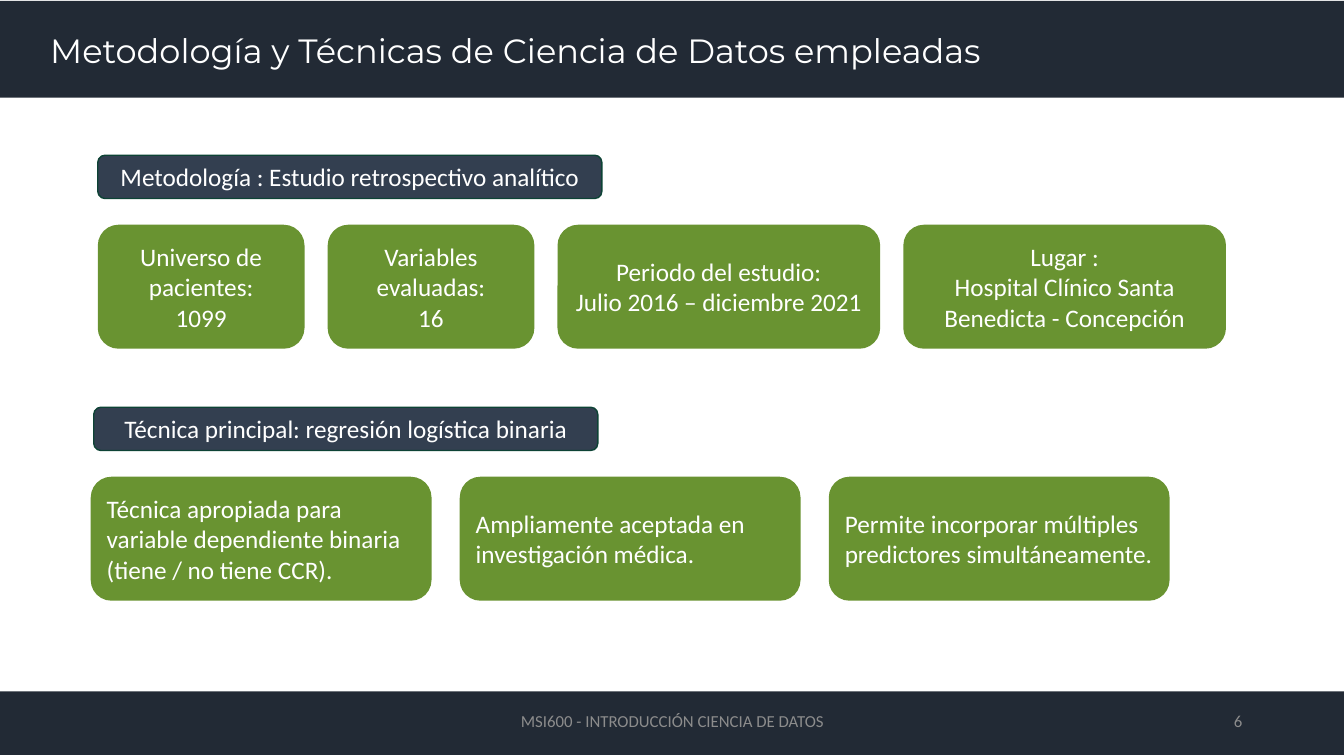
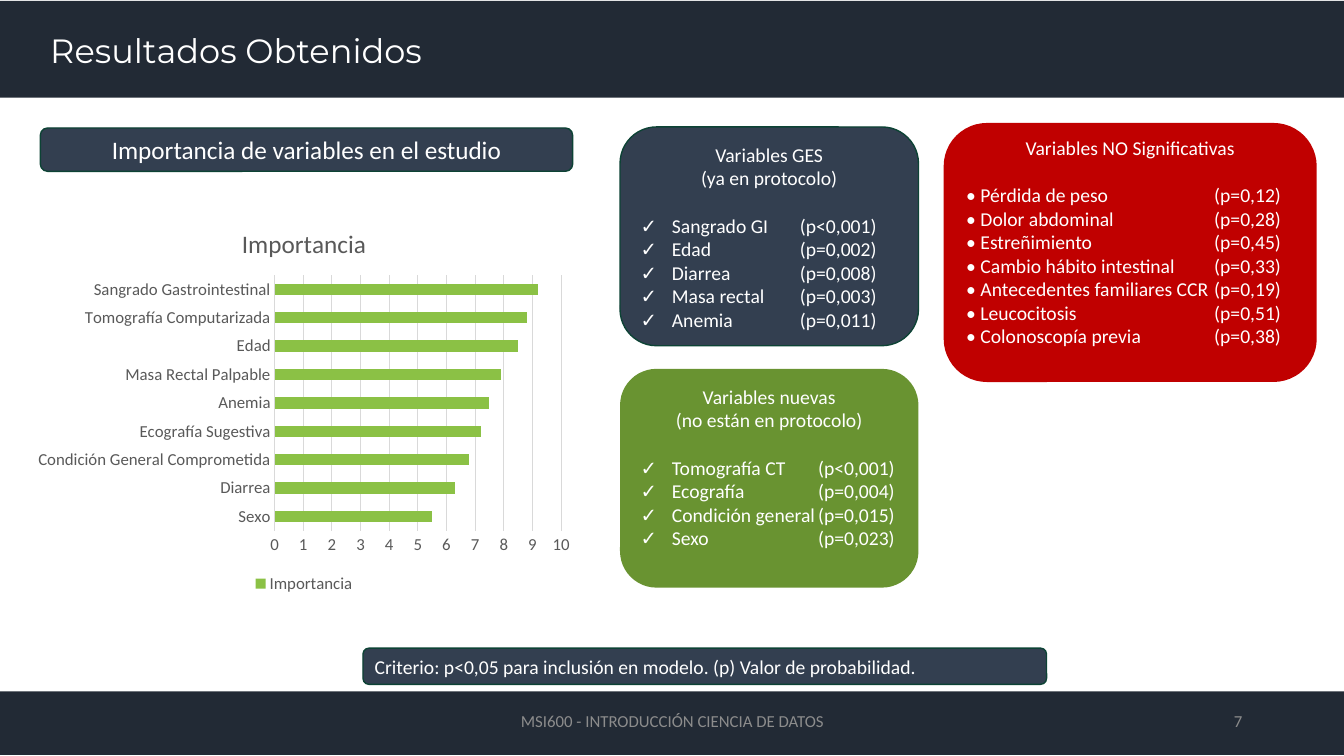
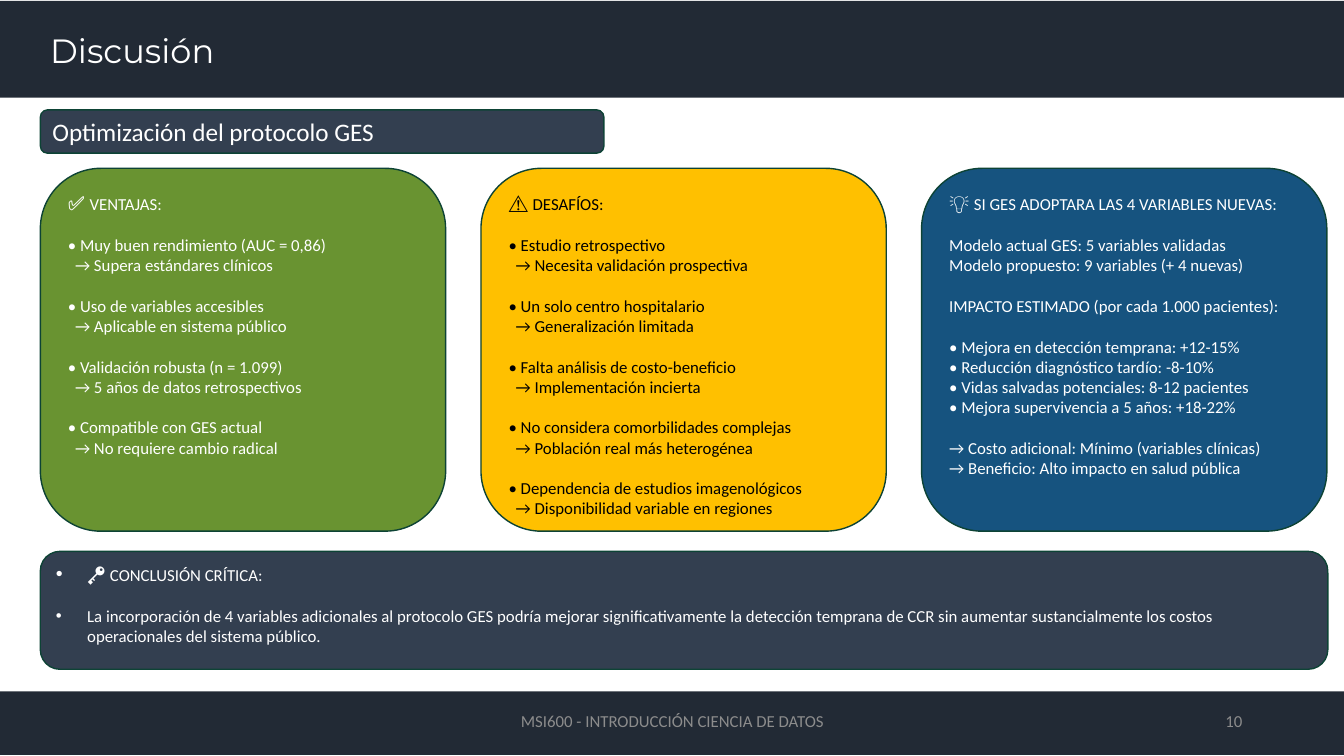
from lxml import etree
from pptx import Presentation
from pptx.chart import data as chart_data
from pptx.dml.color import RGBColor
from pptx.enum import chart as charts, shapes, text
from pptx.oxml.ns import qn
from pptx.util import Inches, Pt

NAVY, SLATE, GREEN, RED, GOLD, BLUE = "222A35", "333F50", "699331", "C00000", "FFC000", "16537F"
EDGE, WHITE, BLACK, GRAY, INK, GRID, LIME = "0D4335", "FFFFFF", "000000", "8C8C8C", "595959", "D9D9D9", "8BC145"
FONT, HEAD = "Calibri", "Montserrat"
LEFT, MID, RIGHT = text.PP_ALIGN.LEFT, text.PP_ALIGN.CENTER, text.PP_ALIGN.RIGHT
TOP, CORE = text.MSO_ANCHOR.TOP, text.MSO_ANCHOR.MIDDLE
FOOT = "MSI600 - INTRODUCCIÓN CIENCIA DE DATOS"

STUDY = [
    (2.05, ["Universo de pacientes:", "1099"]),
    (2.05, ["Variables evaluadas:", "16"]),
    (3.2, ["Periodo del estudio:", "Julio 2016 – diciembre 2021"]),
    (3.2, ["Lugar :", "Hospital Clínico Santa Benedicta - Concepción"]),
]
METHOD = [
    "Técnica apropiada para variable dependiente binaria (tiene / no tiene CCR).",
    "Ampliamente aceptada en investigación médica.",
    "Permite incorporar múltiples predictores simultáneamente.",
]
WEIGHTS = [
    ("Sexo", 5.5), ("Diarrea", 6.3), ("Condición General Comprometida", 6.8),
    ("Ecografía Sugestiva", 7.2), ("Anemia", 7.5), ("Masa Rectal Palpable", 7.9),
    ("Edad", 8.5), ("Tomografía Computarizada", 8.8), ("Sangrado Gastrointestinal", 9.2),
]
TESTS = [
    ((6.15, 1.26, 2.96, 2.17), SLATE, EDGE, (0.31, 1.58), "✓\t", ["Variables GES", "(ya en protocolo)"],
     [("Sangrado GI", "p<0,001"), ("Edad", "p=0,002"), ("Diarrea", "p=0,008"),
      ("Masa rectal", "p=0,003"), ("Anemia", "p=0,011")]),
    ((6.15, 3.66, 2.96, 2.17), GREEN, None, (0.31, 1.76), "✓\t", ["Variables nuevas", "(no están en protocolo)"],
     [("Tomografía CT", "p<0,001"), ("Ecografía", "p=0,004"),
      ("Condición general", "p=0,015"), ("Sexo", "p=0,023")]),
    ((9.36, 1.22, 3.7, 2.57), RED, None, (2.46,), "• ", ["Variables NO Significativas"],
     [("Pérdida de peso", "p=0,12"), ("Dolor abdominal", "p=0,28"), ("Estreñimiento", "p=0,45"),
      ("Cambio hábito intestinal", "p=0,33"), ("Antecedentes familiares CCR", "p=0,19"),
      ("Leucocitosis", "p=0,51"), ("Colonoscopía previa", "p=0,38")]),
]
VIEWS = [
    (GREEN, WHITE, [
        [("✅ ", "VENTAJAS:")],
        ["• Muy buen rendimiento (AUC = 0,86)", "→ Supera estándares clínicos"],
        ["• Uso de variables accesibles", "→ Aplicable en sistema público"],
        ["• Validación robusta (n = 1.099)", "→ 5 años de datos retrospectivos"],
        ["• Compatible con GES actual", "→ No requiere cambio radical"]]),
    (GOLD, BLACK, [
        [("⚠️ ", "DESAFÍOS:")],
        ["• Estudio retrospectivo", "→ Necesita validación prospectiva"],
        ["• Un solo centro hospitalario", "→ Generalización limitada"],
        ["• Falta análisis de costo-beneficio", "→ Implementación incierta"],
        ["• No considera comorbilidades complejas", "→ Población real más heterogénea"],
        ["• Dependencia de estudios imagenológicos", "→ Disponibilidad variable en regiones"]]),
    (BLUE, WHITE, [
        [("💡 ", "SI GES ADOPTARA LAS 4 VARIABLES NUEVAS:")],
        ["Modelo actual GES: 5 variables validadas", "Modelo propuesto: 9 variables (+ 4 nuevas)"],
        ["IMPACTO ESTIMADO (por cada 1.000 pacientes):"],
        ["• Mejora en detección temprana: +12-15%", "• Reducción diagnóstico tardío: -8-10%",
         "• Vidas salvadas potenciales: 8-12 pacientes", "• Mejora supervivencia a 5 años: +18-22%"],
        ["→ Costo adicional: Mínimo (variables clínicas)", "→ Beneficio: Alto impacto en salud pública"]]),
]
CLOSE = [
    [("🔑 ", "CONCLUSIÓN CRÍTICA:")],
    ["La incorporación de 4 variables adicionales al protocolo GES podría mejorar significativamente "
     "la detección temprana de CCR sin aumentar sustancialmente los costos operacionales del sistema público."],
]


def color(code):
    return RGBColor.from_string(code)


def style(font, size, code, face=FONT):
    font.size, font.name, font.color.rgb = Pt(size), face, color(code)


def write(shape, groups, size=18, code=WHITE, align=LEFT, anchor=CORE, face=FONT):
    """Write groups of lines, one blank line's height apart; a pair is a larger icon and its label."""
    frame = shape.text_frame
    frame.word_wrap, frame.vertical_anchor = True, anchor
    paras = []
    for g, group in enumerate(groups):
        for n, line in enumerate(group):
            para = frame.add_paragraph() if paras else frame.paragraphs[0]
            para.alignment = align
            if g and not n:
                para.space_before = Pt(round(size * 1.22, 1))
            runs = [(line, size)] if isinstance(line, str) else zip(line, (14, size))
            for words, points in runs:
                run = para.add_run()
                run.text = words
                style(run.font, points, code, face)
            paras.append(para)
    return paras


def block(slide, box, fill, edge=None, kind=shapes.MSO_SHAPE.ROUNDED_RECTANGLE):
    shape = slide.shapes.add_shape(kind, *map(Inches, box))
    shape.shadow.inherit = False
    shape.fill.solid()
    shape.fill.fore_color.rgb = color(fill)
    if edge:
        shape.line.color.rgb = color(edge)
        shape.line.width = Pt(1)
    else:
        shape.line.fill.background()
    return shape


def label(slide, box, words, *args, **look):
    write(slide.shapes.add_textbox(*map(Inches, box)), [[words]], *args, **look)


def bar(slide, box, words, size=18, align=MID):
    write(block(slide, box, SLATE, EDGE), [[words]], size, align=align)


def indent(para, left, first, mark=None):
    props = para._p.get_or_add_pPr()
    props.set("marL", str(Inches(left)))
    props.set("indent", str(Inches(first)))
    if mark:
        etree.SubElement(props, qn("a:buFont")).set("typeface", "Arial")
        etree.SubElement(props, qn("a:buChar")).set("char", mark)


def set_tabs(para, stops):
    tabs = etree.SubElement(para._p.get_or_add_pPr(), qn("a:tabLst"))
    for stop in stops:
        tab = etree.SubElement(tabs, qn("a:tab"))
        tab.set("pos", str(Inches(stop)))
        tab.set("algn", "l")


def start(deck, title, number):
    slide = deck.slides.add_slide(deck.slide_layouts[6])
    for top, high in ((0.01, 0.96), (6.86, 0.63)):
        block(slide, (0, top, 13.33, high), NAVY, kind=shapes.MSO_SHAPE.RECTANGLE)
    label(slide, (0.4, 0.25, 9.5, 0.5), title, 24, anchor=TOP, face=HEAD)
    label(slide, (4.42, 6.95, 4.5, 0.4), FOOT, 12, GRAY, MID)
    label(slide, (9.42, 6.95, 3, 0.4), str(number), 12, GRAY, RIGHT)
    return slide


def add_bars(slide):
    data = chart_data.CategoryChartData()
    data.categories = [name for name, _ in WEIGHTS]
    data.add_series("Importancia", [value for _, value in WEIGHTS])
    box = map(Inches, (0.27, 2.07, 5.49, 3.86))
    chart = slide.shapes.add_chart(charts.XL_CHART_TYPE.BAR_STACKED, *box, data).chart
    style(chart.font, 10, BLACK)
    chart.has_title = True
    run = chart.chart_title.text_frame.paragraphs[0].add_run()
    run.text = "Importancia"
    style(run.font, 18, INK)
    run.font.bold = False
    chart.has_legend = True
    chart.legend.position = charts.XL_LEGEND_POSITION.BOTTOM
    chart.legend.include_in_layout = False
    style(chart.legend.font, 12, INK)
    names, scale = chart.category_axis, chart.value_axis
    for axis in (names, scale):
        style(axis.tick_labels.font, 12, INK)
        axis.major_tick_mark = axis.minor_tick_mark = charts.XL_TICK_MARK.NONE
    scale.has_major_gridlines = True
    for line in (names.format.line, scale.major_gridlines.format.line):
        line.color.rgb = color(GRID)
        line.width = Pt(0.75)
    scale.format.line.fill.background()
    plot = chart.plots[0]
    plot.gap_width, plot.overlap, plot.vary_by_categories = 150, 100, False
    fill = plot.series[0].format.fill
    fill.solid()
    fill.fore_color.rgb = color(LIME)


def add_method(deck):
    slide = start(deck, "Metodología y Técnicas de Ciencia de Datos empleadas", 6)
    bar(slide, (0.97, 1.54, 5, 0.43), "Metodología : Estudio retrospectivo analítico")
    left = 0.97
    for wide, lines in STUDY:
        write(block(slide, (left, 2.23, wide, 1.23), GREEN), [lines], align=MID)
        left += wide + 0.23
    bar(slide, (0.93, 4.04, 5, 0.43), "Técnica principal: regresión logística binaria")
    for n, words in enumerate(METHOD):
        write(block(slide, (0.9 + n * 3.66, 4.73, 3.38, 1.23), GREEN), [[words]])


def add_results(deck):
    slide = start(deck, "Resultados Obtenidos", 7)
    add_bars(slide)
    bar(slide, (0.4, 1.27, 5.28, 0.43), "Importancia de variables en el estudio")
    for box, fill, edge, stops, mark, head, rows in TESTS:
        card = block(slide, box, fill, edge)
        if fill == RED:
            card.text_frame.margin_top = 0
        lines = [f"{mark}{name}\t({odds})" for name, odds in rows]
        paras = write(card, [head, lines], 14, anchor=TOP)
        for para in paras[:len(head)]:
            para.alignment = MID
        for para in paras[len(head):]:
            set_tabs(para, stops)
    bar(slide, (3.6, 6.43, 6.78, 0.36),
        "Criterio: p<0,05 para inclusión en modelo. (p) Valor de probabilidad.", 14, LEFT)


def add_debate(deck):
    slide = start(deck, "Discusión", 10)
    bar(slide, (0.4, 1.09, 5.59, 0.43), "Optimización del protocolo GES", align=LEFT)
    for n, (fill, ink, groups) in enumerate(VIEWS):
        card = block(slide, (0.4 + n * 4.37, 1.67, 4.02, 3.6), fill, EDGE)
        for para in write(card, groups, 12, ink, anchor=TOP):
            if para.text.startswith("→") and fill != BLUE:
                indent(para, 0.07, 0)
    for para in write(block(slide, (0.4, 5.47, 12.77, 1.17), SLATE, EDGE), CLOSE, 12, anchor=TOP):
        indent(para, 0.31, -0.31, "•")


def main():
    deck = Presentation()
    deck.slide_width, deck.slide_height = Inches(13.33), Inches(7.5)
    for add in (add_method, add_results, add_debate):
        add(deck)
    deck.save("out.pptx")


if __name__ == "__main__":
    main()
